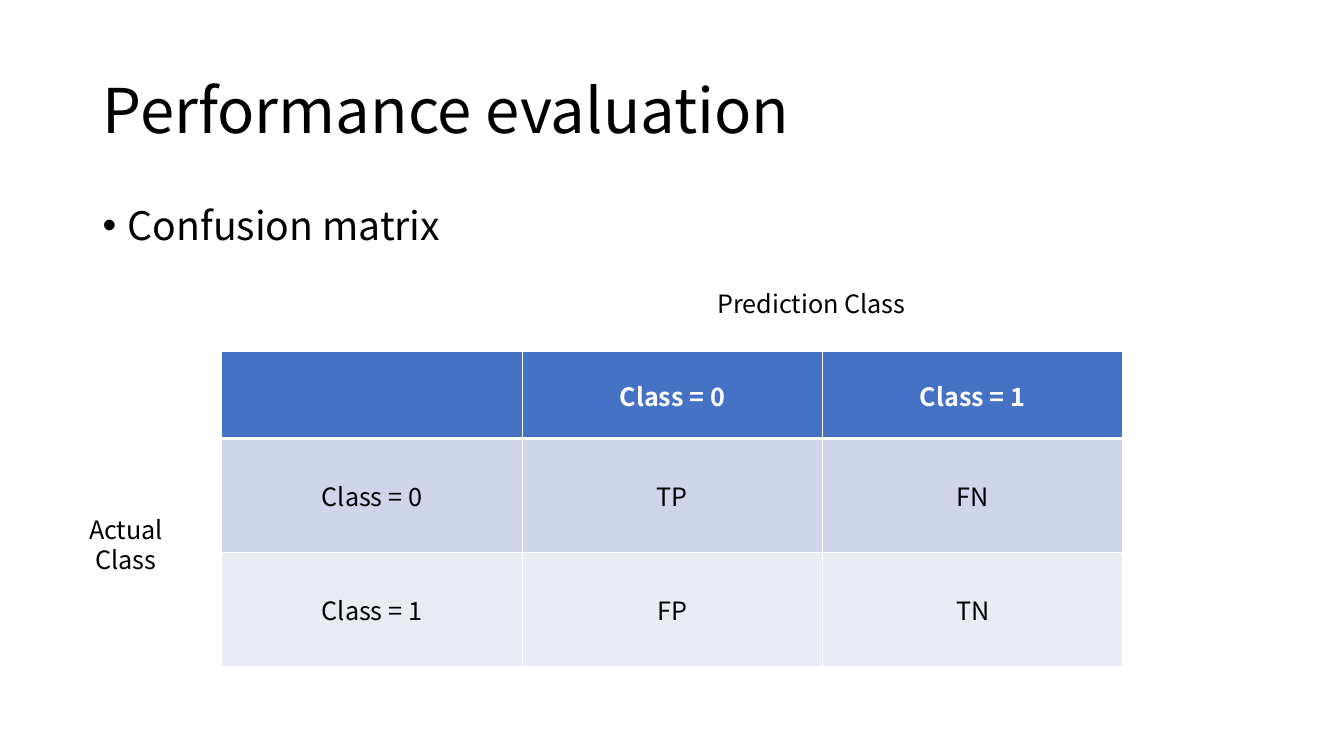
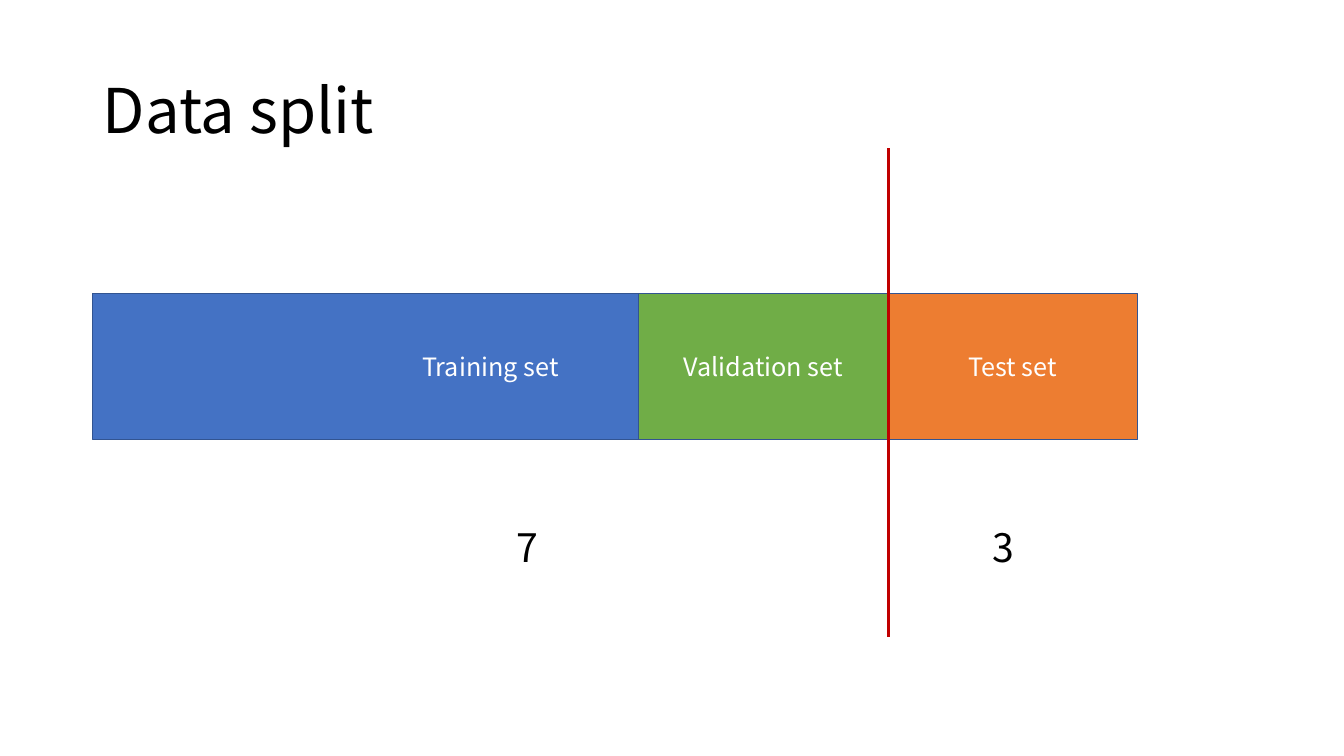
from dataclasses import dataclass

from lxml import etree
from pptx import Presentation
from pptx import util as u
from pptx.dml.color import RGBColor
from pptx.enum import shapes, text
from pptx.oxml import ns
from pptx.slide import Slide
from pptx.table import _Cell
from pptx.text.text import TextFrame

FONT = "Noto Sans CJK KR"
BLACK = RGBColor(0x00, 0x00, 0x00)
WHITE = RGBColor(0xFF, 0xFF, 0xFF)
BLUE = RGBColor(0x44, 0x72, 0xC4)
GREEN = RGBColor(0x70, 0xAD, 0x47)
ORANGE = RGBColor(0xED, 0x7D, 0x31)
OUTLINE = RGBColor(0x32, 0x54, 0x91)
RED = RGBColor(0xC0, 0x00, 0x00)
BAND_DARK = RGBColor(0xCF, 0xD5, 0xEA)
BAND_LIGHT = RGBColor(0xE9, 0xEB, 0xF5)

SLIDE_WIDTH = u.Inches(40 / 3)
SLIDE_HEIGHT = u.Inches(7.5)
TITLE_ONLY = 5
MARGIN = 6.9
CONTENT_WIDTH = 86.25
LEFT, CENTER = text.PP_ALIGN.LEFT, text.PP_ALIGN.CENTER
TOP, MIDDLE = text.MSO_ANCHOR.TOP, text.MSO_ANCHOR.MIDDLE


def across(share: float) -> u.Emu:
    """Turn a percentage of the slide width into a length."""
    return u.Emu(round(SLIDE_WIDTH * share / 100))


def down(share: float) -> u.Emu:
    """Turn a percentage of the slide height into a length."""
    return u.Emu(round(SLIDE_HEIGHT * share / 100))


@dataclass(frozen=True)
class Box:
    """A rectangle in percentages of the slide width and height."""

    left: float
    top: float
    width: float
    height: float

    def lengths(self) -> tuple[u.Emu, u.Emu, u.Emu, u.Emu]:
        """Return left, top, width and height as lengths."""
        return across(self.left), down(self.top), across(self.width), down(self.height)


@dataclass(frozen=True)
class Style:
    """The look of a piece of text."""

    size: int = 18
    color: RGBColor = BLACK
    bold: bool = False
    align: text.PP_ALIGN = CENTER
    anchor: text.MSO_ANCHOR = TOP
    line_spacing: float = 1.0


@dataclass(frozen=True)
class Label:
    """Text lines placed on a slide."""

    lines: tuple[str, ...]
    box: Box
    style: Style = Style()


@dataclass(frozen=True)
class Segment:
    """One coloured part of the data bar."""

    name: str
    left: float
    width: float
    color: RGBColor


@dataclass(frozen=True)
class MatrixRow:
    """One row of the confusion matrix."""

    values: tuple[str, ...]
    height: float
    fill: RGBColor
    style: Style


TITLE_BOX = Box(MARGIN, 5.33, CONTENT_WIDTH, 19.33)
TITLE_STYLE = Style(44, align=LEFT, anchor=MIDDLE, line_spacing=0.9)
BULLET_STYLE = Style(28, align=LEFT, line_spacing=0.9)
RATIO_STYLE = Style(28, align=LEFT)
HEADER_STYLE = Style(color=WHITE, bold=True, anchor=MIDDLE)
CELL_STYLE = Style(anchor=MIDDLE)
SEGMENT_STYLE = Style(color=WHITE, anchor=MIDDLE)

MATRIX_LEFT, MATRIX_TOP, MATRIX_COLUMN = 16.5, 46.53, 22.35
MATRIX = (
    MatrixRow(("", "Class = 0", "Class = 1"), 11.47, BLUE, HEADER_STYLE),
    MatrixRow(("Class = 0", "TP", "FN"), 15.07, BAND_DARK, CELL_STYLE),
    MatrixRow(("Class = 1", "FP", "TN"), 15.07, BAND_LIGHT, CELL_STYLE),
)
AXIS_LABELS = (
    Label(("Prediction Class",), Box(38.78, 37.47, 43.2, 5.33)),
    Label(("Actual", "Class"), Box(3.68, 67.33, 11.4, 9.47)),
)

CUT, PART = 66.08, 18.55
BAR_TOP, BAR_HEIGHT = 38.8, 19.33
SEGMENTS = (
    Segment("Training set", MARGIN, CUT - MARGIN, BLUE),
    Segment("Validation set", CUT - PART, PART, GREEN),
    Segment("Test set", CUT, PART, ORANGE),
)
RATIOS = tuple(
    Label((ratio,), Box(left, 68.53, 6.45, 7.6), RATIO_STYLE)
    for ratio, left in (("7", 37.73), ("3", 73.13))
)


def write(frame: TextFrame, lines: tuple[str, ...], style: Style) -> None:
    """Write styled lines into a text frame."""
    for index, line in enumerate(lines):
        paragraph = frame.add_paragraph() if index else frame.paragraphs[0]
        paragraph.alignment = style.align
        paragraph.line_spacing = style.line_spacing
        if line:
            run = paragraph.add_run()
            run.text = line
            run.font.name = FONT
            run.font.size = u.Pt(style.size)
            run.font.bold = style.bold
            run.font.color.rgb = style.color


def add_titled_slide(presentation: Presentation, title: str) -> Slide:
    """Add a slide with the shared title style."""
    slide = presentation.slides.add_slide(presentation.slide_layouts[TITLE_ONLY])
    shape = slide.shapes.title
    shape.left, shape.top, shape.width, shape.height = TITLE_BOX.lengths()
    shape.text_frame.auto_size = text.MSO_AUTO_SIZE.NONE
    shape.text_frame.vertical_anchor = TITLE_STYLE.anchor
    write(shape.text_frame, (title,), TITLE_STYLE)
    return slide


def add_label(slide: Slide, label: Label) -> TextFrame:
    """Add a wrapping text box and return its frame."""
    frame = slide.shapes.add_textbox(*label.box.lengths()).text_frame
    frame.word_wrap = True
    frame.vertical_anchor = label.style.anchor
    write(frame, label.lines, label.style)
    return frame


def add_bullet(slide: Slide, line: str) -> None:
    """Add the bulleted body text."""
    box = Box(MARGIN, 26.67, CONTENT_WIDTH, 63.47)
    paragraph = add_label(slide, Label((line,), box, BULLET_STYLE)).paragraphs[0]
    paragraph.space_before = u.Pt(10)
    properties = paragraph._p.get_or_add_pPr()
    properties.set("marL", str(u.Inches(0.25)))
    properties.set("indent", str(-u.Inches(0.25)))
    etree.SubElement(properties, ns.qn("a:buFont"), typeface="Arial")
    etree.SubElement(properties, ns.qn("a:buChar"), char="•")


def set_border(cell: _Cell, side: str, points: float) -> None:
    """Draw a white border on one side of a cell."""
    properties = cell._tc.get_or_add_tcPr()
    line = etree.SubElement(properties, ns.qn(f"a:ln{side}"), w=str(u.Pt(points)))
    fill = etree.SubElement(line, ns.qn("a:solidFill"))
    etree.SubElement(fill, ns.qn("a:srgbClr"), val=str(WHITE))


def add_matrix(slide: Slide) -> None:
    """Add the confusion matrix table."""
    columns = len(MATRIX[0].values)
    height = sum(row.height for row in MATRIX)
    box = Box(MATRIX_LEFT, MATRIX_TOP, columns * MATRIX_COLUMN, height)
    table = slide.shapes.add_table(len(MATRIX), columns, *box.lengths()).table
    for column in table.columns:
        column.width = across(MATRIX_COLUMN)
    for row_index, row in enumerate(MATRIX):
        table.rows[row_index].height = down(row.height)
        for column_index, value in enumerate(row.values):
            cell = table.cell(row_index, column_index)
            for side in "LRTB":
                under_header = (row_index, side) in ((0, "B"), (1, "T"))
                set_border(cell, side, 3 if under_header else 1)
            cell.fill.solid()
            cell.fill.fore_color.rgb = row.fill
            cell.vertical_anchor = row.style.anchor
            write(cell.text_frame, (value,), row.style)


def add_segment(slide: Slide, segment: Segment) -> None:
    """Add one part of the data bar."""
    box = Box(segment.left, BAR_TOP, segment.width, BAR_HEIGHT)
    shape = slide.shapes.add_shape(shapes.MSO_SHAPE.RECTANGLE, *box.lengths())
    shape.shadow.inherit = False
    shape.fill.solid()
    shape.fill.fore_color.rgb = segment.color
    shape.line.color.rgb = OUTLINE
    shape.line.width = u.Pt(1)
    shape.text_frame.vertical_anchor = SEGMENT_STYLE.anchor
    write(shape.text_frame, (segment.name,), SEGMENT_STYLE)


def add_cut_line(slide: Slide) -> None:
    """Add the line between the training and test data."""
    line = slide.shapes.add_connector(
        shapes.MSO_CONNECTOR.STRAIGHT, across(CUT), down(19.6), across(CUT), down(84.27)
    )
    line.line.color.rgb = RED
    line.line.width = u.Pt(2.25)
    etree.SubElement(line._element.spPr, ns.qn("a:effectLst"))


def build_evaluation(presentation: Presentation) -> None:
    """Build the performance evaluation slide."""
    slide = add_titled_slide(presentation, "Performance evaluation")
    add_bullet(slide, "Confusion matrix")
    add_matrix(slide)
    for label in AXIS_LABELS:
        add_label(slide, label)


def build_data_split(presentation: Presentation) -> None:
    """Build the data split slide."""
    slide = add_titled_slide(presentation, "Data split")
    for segment in SEGMENTS:
        add_segment(slide, segment)
    add_cut_line(slide)
    for label in RATIOS:
        add_label(slide, label)


def main() -> None:
    """Build and save the presentation."""
    presentation = Presentation()
    presentation.slide_width = SLIDE_WIDTH
    presentation.slide_height = SLIDE_HEIGHT
    build_evaluation(presentation)
    build_data_split(presentation)
    presentation.save("out.pptx")


main()
